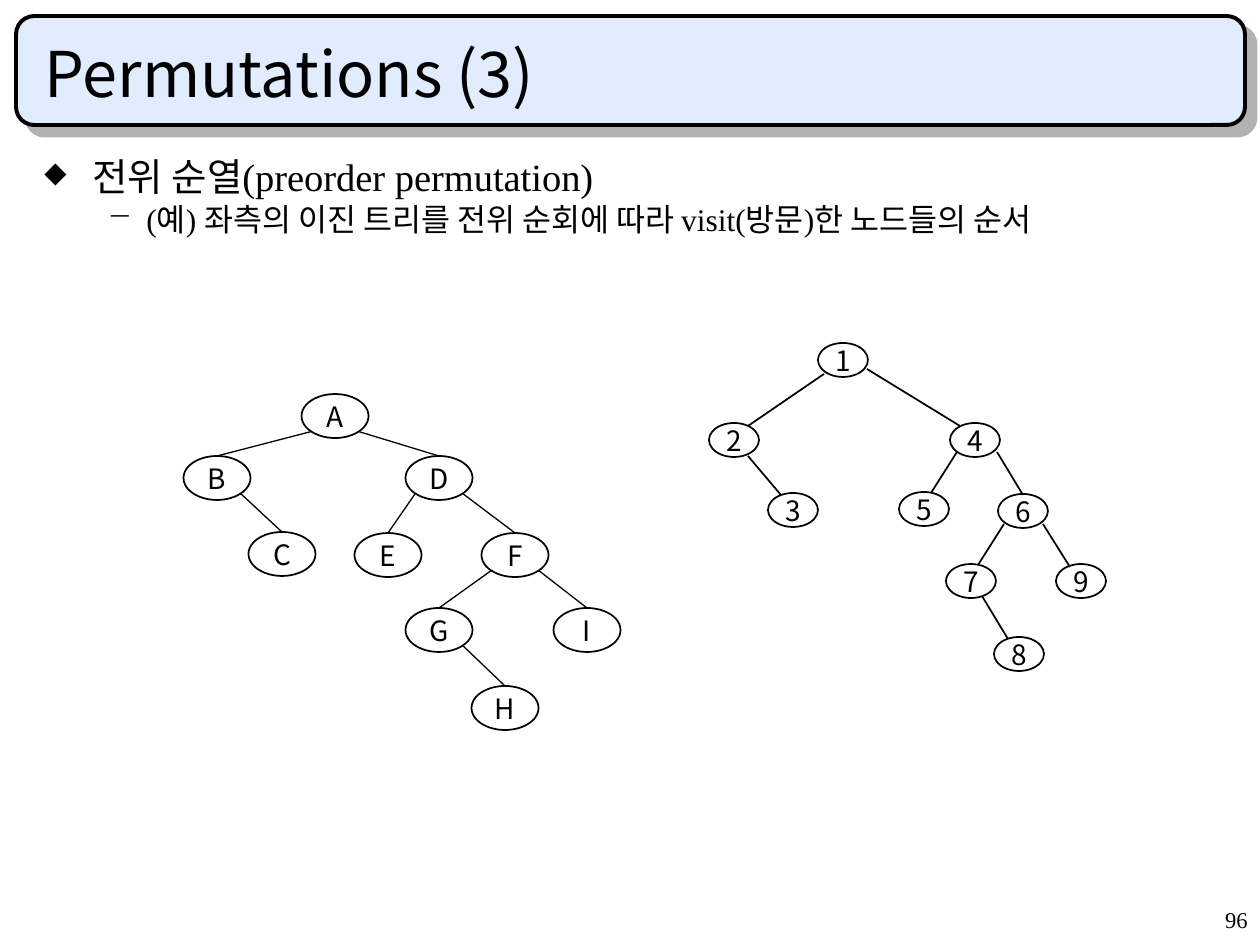
"""Builds the slide on preorder permutations with two binary trees."""
import math

import lxml.etree
import pptx
import pptx.dml.color
import pptx.enum.shapes
import pptx.enum.text
import pptx.oxml.ns
import pptx.util

SANS, SERIF = "Noto Sans CJK KR", "Times New Roman"
INK, PAPER = "000000", "FFFFFF"
HEADING = "Permutations (3)"
PAGE = "96"
POINTS = [
    dict(text="전위 순열(preorder permutation)", size=22, level=0,
         margin=48, hang=48, before=0, bullet="◆", bullet_size=75),
    dict(text="(예) 좌측의 이진 트리를 전위 순회에 따라 visit(방문)한 노드들의 순서", size=18,
         level=1, margin=102, hang=39, before=4.5, bullet="−", bullet_size=100),
]
NUMBER_NODES = {
    "1": (843, 360), "2": (734, 440), "3": (793, 510), "4": (975, 440),
    "5": (924, 509), "6": (1023, 511), "7": (971, 581), "9": (1081, 581),
    "8": (1019, 654),
}
NUMBER_EDGES = [
    (824, 374, 748, 426), (867, 369, 960, 426), (748, 456, 781, 495),
    (957, 452, 931, 493), (997, 452, 1023, 495), (1004, 524, 978, 565),
    (1043, 524, 1070, 567), (982, 596, 1008, 639),
]
LETTER_NODES = {
    "A": (335, 416), "B": (217, 478), "C": (282, 554), "D": (439, 478),
    "E": (388, 555), "F": (515, 555), "G": (439, 630), "I": (587, 630),
    "H": (505, 708),
}
LETTER_LINKS = ["AB", "AD", "BC", "DE", "DF", "FG", "FI", "GH"]
NUMBER_SIZE, LETTER_SIZE = (50, 34), (67, 44)


def px(*lengths):
    return [pptx.util.Emu(round(length * 914400 / 126)) for length in lengths]


def colour(value):
    return pptx.dml.color.RGBColor.from_string(value)


def child(parent, tag, **attributes):
    return lxml.etree.SubElement(parent, pptx.oxml.ns.qn(tag), attributes)


def paint(shape, fill, width):
    shape.shadow.inherit = False
    if fill:
        shape.fill.solid()
        shape.fill.fore_color.rgb = colour(fill)
    else:
        shape.fill.background()
    shape.line.color.rgb = colour(INK)
    shape.line.width = pptx.util.Pt(width)


def write(paragraph, text, size, font):
    run = paragraph.add_run()
    run.text = text
    run.font.size = pptx.util.Pt(size)
    run.font.name = font
    run.font.color.rgb = colour(INK)
    child(run.font._element, "a:ea", typeface=SANS)


def add_bullet(paragraph, point):
    margin, hang = px(point["margin"], point["hang"])
    properties = paragraph._p.get_or_add_pPr()
    properties.set("marL", str(margin))
    properties.set("indent", str(-hang))
    child(child(properties, "a:buClr"), "a:srgbClr", val=INK)
    child(properties, "a:buSzPct", val=str(point["bullet_size"] * 1000))
    child(properties, "a:buChar", char=point["bullet"])


def add_tree(slide, nodes, edges, size, fill, edge_width):
    tree = slide.shapes.add_group_shape().shapes
    width, height = size
    for label, (x, y) in nodes.items():
        node = tree.add_shape(pptx.enum.shapes.MSO_SHAPE.OVAL,
                              *px(x - width / 2, y - height / 2, width, height))
        paint(node, fill, 1)
        frame = node.text_frame
        frame.word_wrap = False
        frame.vertical_anchor = pptx.enum.text.MSO_ANCHOR.MIDDLE
        frame.paragraphs[0].alignment = pptx.enum.text.PP_ALIGN.CENTER
        write(frame.paragraphs[0], label, 16, SANS)
    for ends in edges:
        edge = tree.add_connector(pptx.enum.shapes.MSO_CONNECTOR.STRAIGHT, *px(*ends))
        edge.line.color.rgb = colour(INK)
        edge.line.width = pptx.util.Pt(edge_width)
        child(edge.element.spPr, "a:effectLst")


def letter_edge(link):
    (px_x, px_y), (x, y) = (LETTER_NODES[name] for name in link)
    width, height = LETTER_SIZE
    reach = math.sqrt(0.5) / 2
    side = math.copysign(reach * width, x - px_x)
    return px_x + side, px_y + reach * height, x, y - height / 2


def add_heading(slide):
    title = slide.shapes.title
    title.left, title.top, title.width, title.height = px(32, 32, 1187, 84)
    title.text_frame.vertical_anchor = pptx.enum.text.MSO_ANCHOR.BOTTOM
    heading = title.text_frame.paragraphs[0]
    heading.alignment = pptx.enum.text.PP_ALIGN.LEFT
    write(heading, HEADING, 36, SANS)

    banner = slide.shapes.add_shape(pptx.enum.shapes.MSO_SHAPE.ROUNDED_RECTANGLE,
                                    *px(16, 16, 1229, 109))
    paint(banner, "E1ECFF", 2.25)
    effects = banner.element.spPr.find(pptx.oxml.ns.qn("a:effectLst"))
    shadow = child(effects, "a:outerShdw", dist=str(pptx.util.Pt(8.5)),
                   dir="2700000", algn="ctr", rotWithShape="0")
    child(shadow, "a:srgbClr", val="B2B2B2")
    title.element.addprevious(banner.element)


def add_points(slide):
    frame = slide.shapes.add_textbox(*px(32, 156, 1187, 98)).text_frame
    frame.word_wrap = True
    for index, point in enumerate(POINTS):
        paragraph = frame.add_paragraph() if index else frame.paragraphs[0]
        paragraph.level = point["level"]
        paragraph.line_spacing = 0.8
        paragraph.space_before = pptx.util.Pt(point["before"])
        add_bullet(paragraph, point)
        write(paragraph, point["text"], point["size"], SERIF)


def add_page_number(slide):
    frame = slide.shapes.add_textbox(*px(998, 903, 262, 42)).text_frame
    frame.word_wrap = True
    number = frame.paragraphs[0]
    number.alignment = pptx.enum.text.PP_ALIGN.RIGHT
    number.line_spacing = 0.9
    write(number, PAGE, 12.9, SERIF)


def main():
    deck = pptx.Presentation()
    deck.slide_width, deck.slide_height = px(1260, 945)
    slide = deck.slides.add_slide(deck.slide_layouts[5])
    add_heading(slide)
    add_page_number(slide)
    add_points(slide)
    add_tree(slide, NUMBER_NODES, NUMBER_EDGES, NUMBER_SIZE, None, 1)
    add_tree(slide, LETTER_NODES, [letter_edge(link) for link in LETTER_LINKS],
             LETTER_SIZE, PAPER, 0.75)
    deck.save("out.pptx")


if __name__ == "__main__":
    main()
